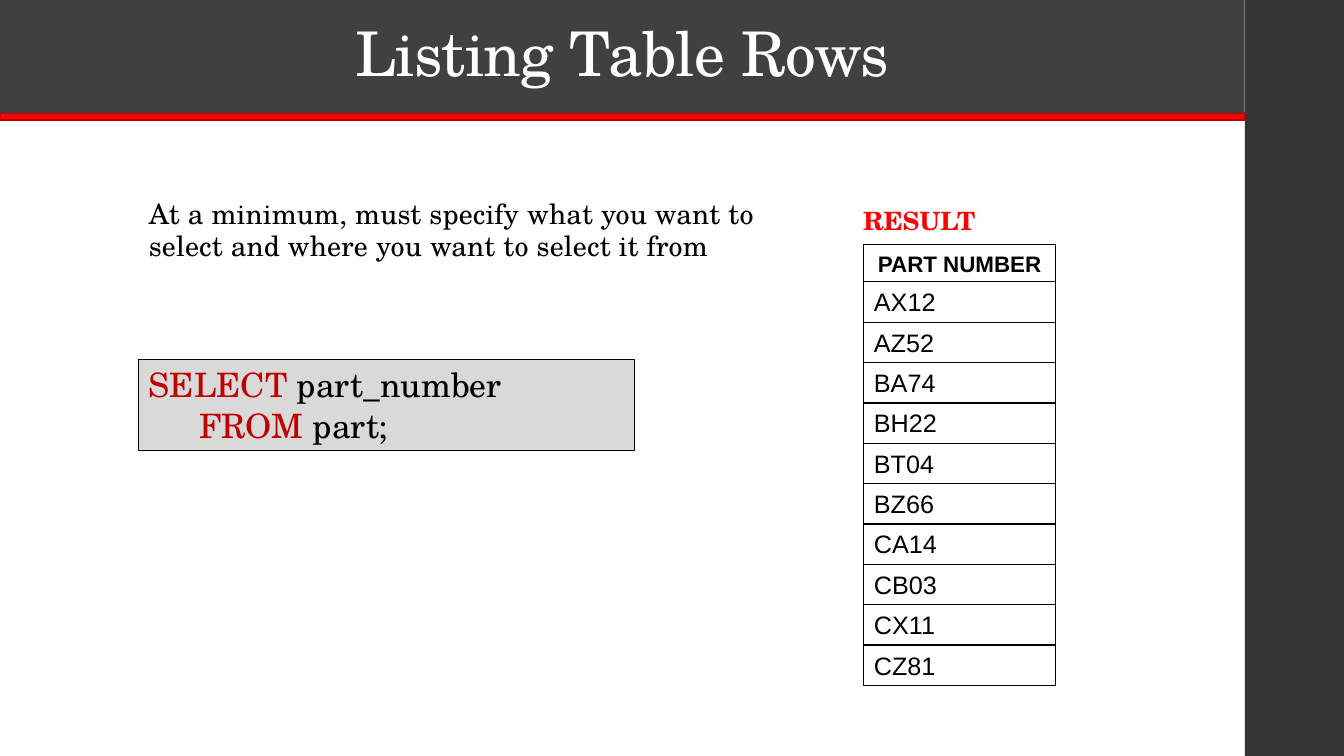
from lxml.etree import SubElement
from pptx import Presentation
from pptx.dml.color import RGBColor
from pptx.enum.shapes import MSO_SHAPE
from pptx.enum.text import MSO_ANCHOR, PP_ALIGN
from pptx.oxml.ns import qn
from pptx.util import Cm, Pt

SERIF, SANS = "TeX Gyre Schola", "Arial"
BLACK, WHITE, RED, KEYWORD = "000000", "FFFFFF", "FF0000", "C00000"
PARTS = ["AX12", "AZ52", "BA74", "BH22", "BT04",
         "BZ66", "CA14", "CB03", "CX11", "CZ81"]


def color(hex_code):
    return RGBColor.from_string(hex_code)


class SlideBuilder:
    def __init__(self, slide, font):
        self.slide = slide
        self.font = font

    def style(self, paragraph, size, ink=None, bold=False, font=None):
        paragraph.font.name = font or self.font
        paragraph.font.size = Pt(size)
        paragraph.font.bold = bold
        if ink:
            paragraph.font.color.rgb = color(ink)

    def bar(self, left, top, width, height, fill, line=None, line_width=1):
        bar = self.slide.shapes.add_shape(
            MSO_SHAPE.RECTANGLE, Cm(left), Cm(top), Cm(width), Cm(height))
        bar.shadow.inherit = False
        bar.fill.solid()
        bar.fill.fore_color.rgb = color(fill)
        if line:
            bar.line.color.rgb = color(line)
            bar.line.width = Pt(line_width)
        else:
            bar.line.fill.background()
        return bar

    def text(self, left, top, width, height, wording, size, ink, bold=False):
        box = self.slide.shapes.add_textbox(Cm(left), Cm(top), Cm(width), Cm(height))
        box.text_frame.word_wrap = True
        paragraph = box.text_frame.paragraphs[0]
        paragraph.text = wording
        self.style(paragraph, size, ink, bold)
        return paragraph

    def tracking(self, paragraph, points):
        for run in paragraph.runs:
            run.font._element.set("spc", str(round(points * 100)))

    def code(self, box, lines, size, indent):
        """Each line is a keyword and the rest; lines after the first are indented."""
        frame = box.text_frame
        frame.vertical_anchor = MSO_ANCHOR.TOP
        for i, (keyword, rest) in enumerate(lines):
            paragraph = frame.add_paragraph() if i else frame.paragraphs[0]
            paragraph.alignment = PP_ALIGN.LEFT
            self.style(paragraph, size)
            if i:
                paragraph._p.get_or_add_pPr().set("marL", str(Cm(indent)))
            for wording, ink in ((keyword, KEYWORD), (rest, BLACK)):
                run = paragraph.add_run()
                run.text = wording
                run.font.color.rgb = color(ink)

    def borders(self, cell, ink, width):
        properties = cell._tc.get_or_add_tcPr()
        for position, side in enumerate(("lnL", "lnR", "lnT", "lnB")):
            line = SubElement(properties, qn(f"a:{side}"), w=str(Pt(width)))
            fill = SubElement(line, qn("a:solidFill"))
            SubElement(fill, qn("a:srgbClr"), val=ink)
            properties.remove(line)
            properties.insert(position, line)  # borders precede the fill

    def column_table(self, left, top, width, header, values, header_height, row_height):
        height = header_height + row_height * len(values)
        table = self.slide.shapes.add_table(
            len(values) + 1, 1, Cm(left), Cm(top), Cm(width), Cm(height)).table
        table.horz_banding = False
        for i, wording in enumerate([header, *values]):
            is_header = i == 0
            table.rows[i].height = Cm(header_height if is_header else row_height)
            cell = table.cell(i, 0)
            cell.vertical_anchor = MSO_ANCHOR.BOTTOM
            cell.fill.solid()
            cell.fill.fore_color.rgb = color(WHITE)
            self.borders(cell, BLACK, 1)
            paragraph = cell.text_frame.paragraphs[0]
            paragraph.text = wording
            paragraph.alignment = PP_ALIGN.CENTER if is_header else PP_ALIGN.LEFT
            self.style(paragraph, 16 if is_header else 18, BLACK, is_header, SANS)


def main():
    deck = Presentation()
    deck.slide_width, deck.slide_height = Cm(33.87), Cm(19.05)
    page = SlideBuilder(deck.slides.add_slide(deck.slide_layouts[6]), SERIF)

    # Frame: side band, red rule and title band
    page.bar(31.37, 0, 2.5, 19.05, "353537")
    page.bar(0, 2.85, 31.37, 0.18, RED, "BD0000", 1.1)
    title_band = page.bar(0, 0, 31.37, 2.85, "404040")
    title_band.text_frame.word_wrap = True
    title = title_band.text_frame.paragraphs[0]
    title.text = "Listing Table Rows"
    title.alignment = PP_ALIGN.CENTER
    title.line_spacing = 0.9
    page.style(title, 44, WHITE)
    page.tracking(title, -0.5)

    # Explanation
    explanation = page.text(
        3.5, 4.88, 16.05, 2.44,
        "At a minimum, must specify what you want to select "
        "and where you want to select it from", 20, BLACK)
    explanation.line_spacing = 0.95
    explanation.space_after = Pt(2)
    page.tracking(explanation, 0.1)

    # Query
    query = page.bar(3.5, 9.05, 12.5, 2.31, "D9D9D9", BLACK, 0.75)
    page.code(query, [("SELECT ", "part_number"), ("FROM", " part;")], 24, 1.27)

    # Result
    page.column_table(21.77, 6.17, 4.83, "PART NUMBER", PARTS, 0.92, 1.01)
    page.text(21.5, 5.05, 5.1, 1.02, "RESULT", 18, RED, bold=True)

    deck.save("out.pptx")


if __name__ == "__main__":
    main()
